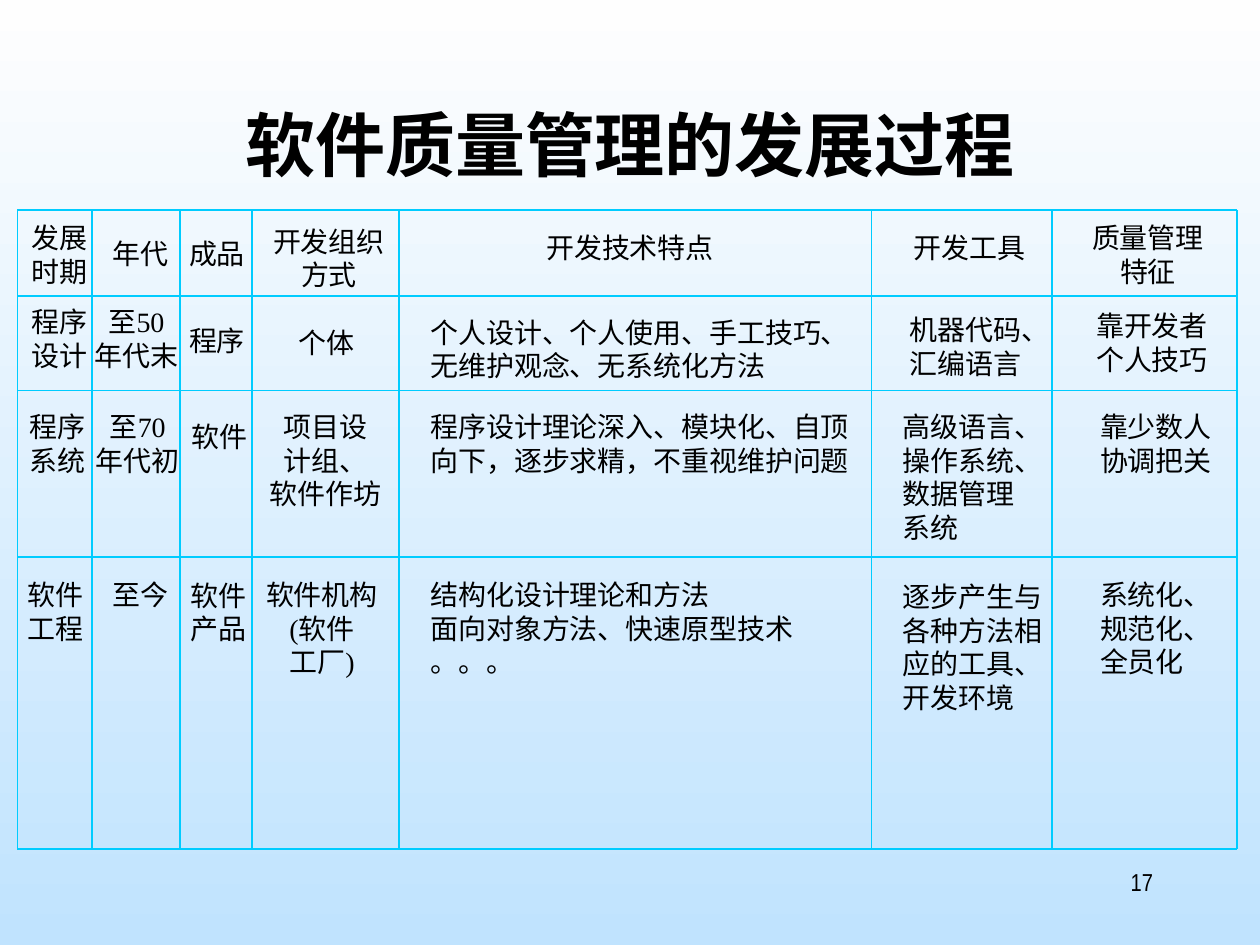
from pptx import Presentation
from pptx.dml.color import RGBColor
from pptx.enum.shapes import MSO_CONNECTOR
from pptx.enum.text import MSO_ANCHOR, MSO_AUTO_SIZE, PP_ALIGN
from pptx.oxml.ns import qn
from pptx.util import Pt
from lxml import etree

LEFT, CENTER, RIGHT = PP_ALIGN.LEFT, PP_ALIGN.CENTER, PP_ALIGN.RIGHT
MIDDLE = MSO_ANCHOR.MIDDLE
GROW = MSO_AUTO_SIZE.SHAPE_TO_FIT_TEXT
STRAIGHT = MSO_CONNECTOR.STRAIGHT

BLACK = RGBColor(0x00, 0x00, 0x00)
CYAN = RGBColor(0x00, 0xCC, 0xFF)
NEAR_WHITE = RGBColor(0xFE, 0xFE, 0xFE)
PALE_BLUE = RGBColor(0xC0, 0xE3, 0xFE)

CJK_FONT = "Noto Sans CJK SC"
CELL_SIZE = 16
LINE_HEIGHT = 19.2

COLUMN_LINES = [10, 52.5, 103, 144, 228, 498, 601, 707]
ROW_LINES = [120.2, 169.2, 223.2, 318.2, 485.3]
FIRST_LEFT_ALIGNED_COLUMN = 4

# Each cell: left, top, lines of text
ROWS = [
    [
        (18, 126, ["发展", "时期"]),
        (64, 135.4, ["年代"]),
        (108, 135.4, ["成品"]),
        (156, 128.2, ["开发组织", "方式"]),
        (312, 131.8, ["开发技术特点"]),
        (522, 131.8, ["开发工具"]),
        (624, 126, ["质量管理", "特征"]),
    ],
    [
        (18, 174.2, ["程序", "设计"]),
        (54, 174.2, ["至50", "年代末"]),
        (108, 185, ["程序"]),
        (170.6, 185.8, ["个体"]),
        (246, 180, ["个人设计、个人使用、手工技巧、", "无维护观念、无系统化方法"]),
        (520, 178.6, ["机器代码、", "汇编语言"]),
        (626.4, 176.4, ["靠开发者", "个人技巧"]),
    ],
    [
        (16.6, 234, ["程序", "系统"]),
        (54.7, 234, ["至70", "年代初"]),
        (109.4, 239.8, ["软件"]),
        (154, 234, ["项目设", "计组、", "软件作坊"]),
        (246, 234, ["程序设计理论深入、模块化、自顶", "向下，逐步求精，不重视维护问题"]),
        (516, 234, ["高级语言、", "操作系统、", "数据管理", "系统"]),
        (628.6, 234, ["靠少数人", "协调把关"]),
    ],
    [
        (15.8, 330, ["软件", "工程"]),
        (64, 330, ["至今"]),
        (108.7, 330.5, ["软件", "产品"]),
        (152, 330, ["软件机构", "(软件", "工厂)"]),
        (246, 330, ["结构化设计理论和方法", "面向对象方法、快速原型技术", "。。。"]),
        (516, 331.2, ["逐步产生与", "各种方法相", "应的工具、", "开发环境"]),
        (628.6, 330, ["系统化、", "规范化、", "全员化"]),
    ],
]


class SlideBuilder:
    def __init__(self, slide):
        self.slide = slide

    def background(self, top_color, bottom_color):
        fill = self.slide.background.fill
        fill.gradient()
        fill.gradient_angle = 270
        for stop, color in zip(fill.gradient_stops, (top_color, bottom_color)):
            stop.color.rgb = color

    def add_run(self, paragraph, text, size, font_name, bold=False):
        run = paragraph.add_run()
        run.text = text
        font = run.font
        font.size, font.name, font.bold = Pt(size), font_name, bold
        font.color.rgb = BLACK
        east_asian = etree.SubElement(font._element, qn("a:ea"))
        east_asian.set("typeface", CJK_FONT)

    def title(self, text, left, top, width, height):
        shape = self.slide.shapes.title
        shape.left, shape.top = Pt(left), Pt(top)
        shape.width, shape.height = Pt(width), Pt(height)
        frame = shape.text_frame
        frame.vertical_anchor = MIDDLE
        frame.auto_size = MSO_AUTO_SIZE.NONE
        paragraph = frame.paragraphs[0]
        paragraph.alignment = CENTER
        paragraph.line_spacing = Pt(48)
        self.add_run(paragraph, text, 40, CJK_FONT, bold=True)

    def line(self, start_x, start_y, end_x, end_y):
        connector = self.slide.shapes.add_connector(
            STRAIGHT, Pt(start_x), Pt(start_y), Pt(end_x), Pt(end_y))
        connector.line.color.rgb = CYAN
        connector.line.width = Pt(1)
        etree.SubElement(connector._element.spPr, qn("a:effectLst"))

    def cell(self, left, top, lines, alignment):
        """Add unwrapped text in a box as wide as its longest line."""
        width = CELL_SIZE * max(map(len, lines))
        shape = self.slide.shapes.add_textbox(
            Pt(left), Pt(top), Pt(width), Pt(LINE_HEIGHT * len(lines)))
        frame = shape.text_frame
        frame.margin_left = frame.margin_right = 0
        frame.margin_top = frame.margin_bottom = 0
        frame.word_wrap = False
        frame.auto_size = GROW
        frame.vertical_anchor = MIDDLE
        for index, text in enumerate(lines):
            paragraph = frame.add_paragraph() if index else frame.paragraphs[0]
            paragraph.alignment = alignment
            paragraph.line_spacing = Pt(LINE_HEIGHT)
            self.add_run(paragraph, text, CELL_SIZE, "Times New Roman")

    def page_number(self, text, left, top, width, height):
        shape = self.slide.shapes.add_textbox(
            Pt(left), Pt(top), Pt(width), Pt(height))
        shape.text_frame.word_wrap = True
        paragraph = shape.text_frame.paragraphs[0]
        paragraph.alignment = RIGHT
        self.add_run(paragraph, text, 14, "Arial Narrow")


def main():
    presentation = Presentation()
    presentation.slide_width, presentation.slide_height = Pt(720), Pt(540)
    title_only = presentation.slide_layouts[5]
    builder = SlideBuilder(presentation.slides.add_slide(title_only))

    builder.background(NEAR_WHITE, PALE_BLUE)
    builder.title("软件质量管理的发展过程", 54, 48, 612, 68)
    for y in ROW_LINES:
        builder.line(COLUMN_LINES[0], y, COLUMN_LINES[-1], y)
    for x in COLUMN_LINES:
        builder.line(x, ROW_LINES[0], x, ROW_LINES[-1])
    for row_index, row in enumerate(ROWS):
        for column_index, (left, top, lines) in enumerate(row):
            is_body = row_index > 0 and column_index >= FIRST_LEFT_ALIGNED_COLUMN
            builder.cell(left, top, lines, LEFT if is_body else CENTER)
    builder.page_number("17", 516, 492, 150, 36)

    presentation.save("out.pptx")


if __name__ == "__main__":
    main()
